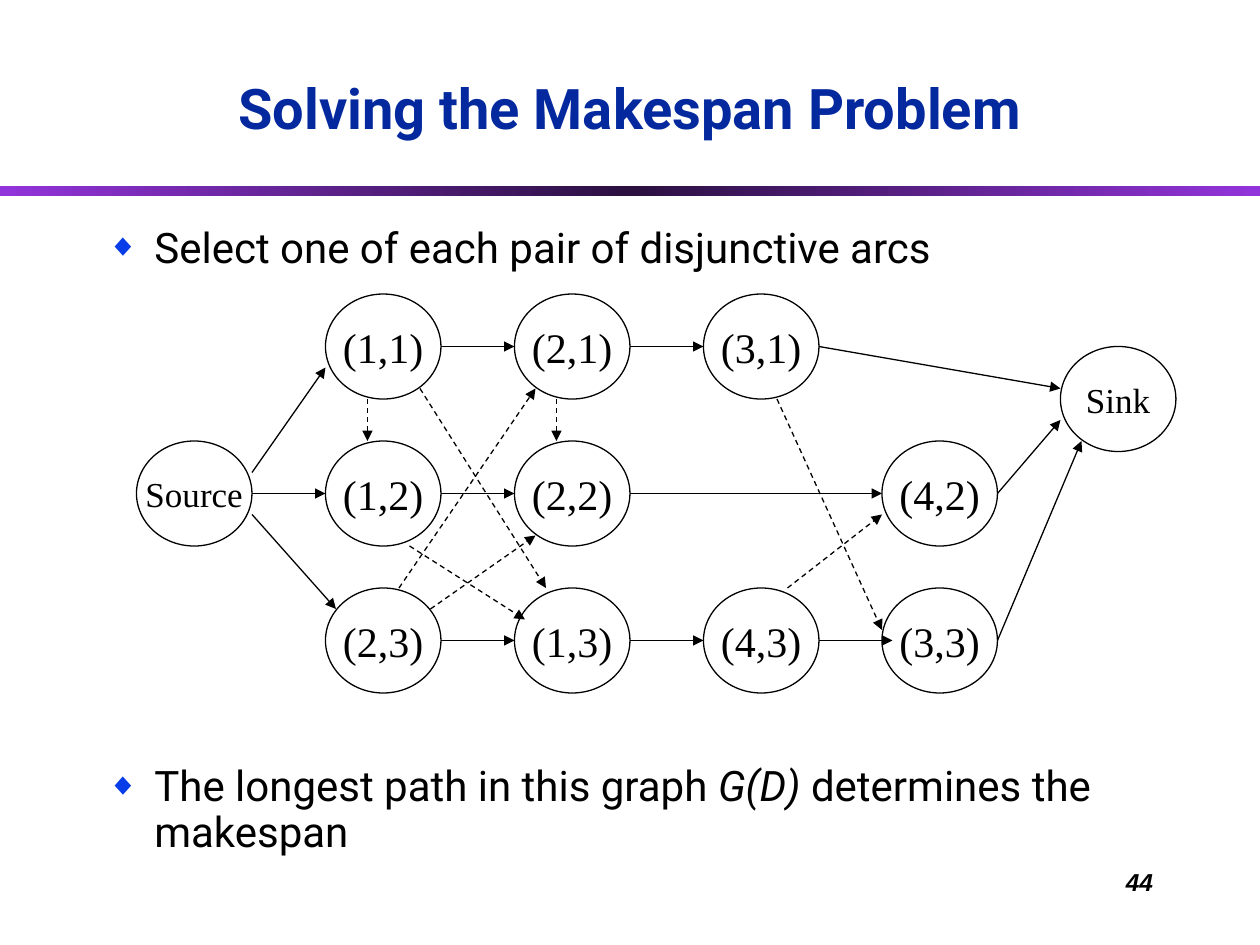
from copy import deepcopy

from lxml import etree
from pptx import Presentation
from pptx.dml.color import RGBColor
from pptx.enum.dml import MSO_LINE
from pptx.enum.shapes import MSO_CONNECTOR, MSO_SHAPE
from pptx.enum.text import MSO_ANCHOR, MSO_AUTO_SIZE, PP_ALIGN
from pptx.oxml.ns import qn
from pptx.util import Pt

PX = 7620  # EMU per px, 120 px to the inch
DASH = MSO_LINE.DASH
ELLIPSE, RECTANGLE = MSO_SHAPE.OVAL, MSO_SHAPE.RECTANGLE
STRAIGHT = MSO_CONNECTOR.STRAIGHT
CENTER, RIGHT = PP_ALIGN.CENTER, PP_ALIGN.RIGHT
TOP, MIDDLE, BOTTOM = MSO_ANCHOR.TOP, MSO_ANCHOR.MIDDLE, MSO_ANCHOR.BOTTOM
rgb = RGBColor.from_string


def write(p, text, size=24, font="Roboto", color="000000", bold=False, italic=False, align=None):
    """Add a formatted run to a paragraph."""
    if align is not None:
        p.alignment = align
    r = p.add_run()
    r.text = text
    r.font.size = Pt(size)
    r.font.name = font
    r.font.color.rgb = rgb(color)
    r.font.bold = bold
    r.font.italic = italic


def place(sp, x, y, w, h):
    sp.left, sp.top, sp.width, sp.height = x * PX, y * PX, w * PX, h * PX


prs = Presentation()
prs.slide_width, prs.slide_height = 1200 * PX, 900 * PX
s = prs.slides.add_slide(prs.slide_layouts[1])

# Gradient rule under the title
bar = s.shapes.add_shape(RECTANGLE, 0, 177 * PX, 1200 * PX, 10 * PX)
bar.shadow.inherit = False
bar.line.fill.background()
bar.fill.gradient()
bar.fill.gradient_angle = 0
stops = bar.fill.gradient_stops
for stop, position, color in zip(stops, (0, 0.5), ("9234DB", "2B1040")):
    stop.position = position
    stop.color.rgb = rgb(color)
stop_list = bar._element.spPr.find(".//" + qn("a:gsLst"))
last = deepcopy(stop_list[0])
last.set("pos", "100000")
stop_list.append(last)

# Title and slide number
title = s.shapes.title
place(title, 90, 30, 1020, 110)
tf = title.text_frame
tf.auto_size = MSO_AUTO_SIZE.NONE
tf.vertical_anchor = BOTTOM
write(tf.paragraphs[0], "Solving the Makespan Problem", size=32, color="04289D",
      bold=True, align=CENTER)

number = s.shapes.add_textbox(860 * PX, 820 * PX, 250 * PX, 60 * PX)
number.text_frame.word_wrap = True
write(number.text_frame.paragraphs[0], "44", size=14, font="Arial", bold=True,
      italic=True, align=RIGHT)

# Bullets above and below the graph
body = s.placeholders[1]
place(body, 90, 210, 1020, 630)
tf = body.text_frame
tf.auto_size = MSO_AUTO_SIZE.NONE
tf.vertical_anchor = TOP
bullets = [
    (0, [("Select one of each pair of disjunctive arcs", False)]),
    (282, [("The longest path in this graph ", False), ("G(D)", True),
           (" determines the makespan", False)]),
]
for i, (space, runs) in enumerate(bullets):
    p = tf.add_paragraph() if i else tf.paragraphs[0]
    pPr = p._p.get_or_add_pPr()
    pPr.set("marL", str(45 * PX))
    pPr.set("indent", str(-45 * PX))
    bullet_color = etree.SubElement(pPr, qn("a:buClr"))
    etree.SubElement(bullet_color, qn("a:srgbClr"), val="063DE8")
    etree.SubElement(pPr, qn("a:buSzPct"), val="75000")
    etree.SubElement(pPr, qn("a:buChar"), char="◆")
    p.line_spacing = 0.9
    p.space_before = Pt(space)
    for text, italic in runs:
        write(p, text, italic=italic)

# Nodes of the graph
columns, rows = (310, 490, 670, 840), (280, 420, 560)
grid = [
    ("(1,1)", "(2,1)", "(3,1)", None),
    ("(1,2)", "(2,2)", None, "(4,2)"),
    ("(2,3)", "(1,3)", "(4,3)", "(3,3)"),
]
nodes = [(label, x, y, 24) for y, labels in zip(rows, grid)
         for x, label in zip(columns, labels) if label]
nodes += [("Sink", 1010, 330, 20), ("Source", 130, 420, 20)]
for label, x, y, size in nodes:
    sp = s.shapes.add_shape(ELLIPSE, x * PX, y * PX, 110 * PX, 100 * PX)
    sp.shadow.inherit = False
    sp.fill.background()
    sp.line.color.rgb = rgb("000000")
    sp.line.width = Pt(0.75)
    tf = sp.text_frame
    tf.word_wrap = False
    tf.vertical_anchor = MIDDLE
    write(tf.paragraphs[0], label, size=size, font="Times New Roman", align=CENTER)

# Arcs: solid within a job, dashed for the selected disjunctive ones
job_arcs = [
    (420, 330, 490, 330), (600, 330, 670, 330),
    (420, 470, 490, 470), (600, 470, 840, 470),
    (420, 610, 490, 610), (600, 610, 670, 610), (780, 610, 850, 610),
    (240, 450, 310, 350), (240, 490, 320, 580), (240, 470, 310, 470),
    (780, 330, 1010, 370), (950, 470, 1010, 400), (950, 610, 1030, 420),
]
selected_arcs = [
    (350, 380, 350, 420), (530, 380, 530, 420),
    (390, 520, 500, 590), (410, 580, 510, 510),
    (750, 560, 840, 490), (740, 380, 840, 600),
    (400, 370, 520, 560), (380, 560, 510, 370),
]
for arcs, dash in ((job_arcs, None), (selected_arcs, DASH)):
    for arc in arcs:
        arrow = s.shapes.add_connector(STRAIGHT, *(v * PX for v in arc))
        arrow.line.color.rgb = rgb("000000")
        arrow.line.width = Pt(0.75)
        if dash:
            arrow.line.dash_style = dash
        etree.SubElement(arrow.line._get_or_add_ln(), qn("a:tailEnd"), type="triangle")
        etree.SubElement(arrow._element.spPr, qn("a:effectLst"))

prs.save("out.pptx")
